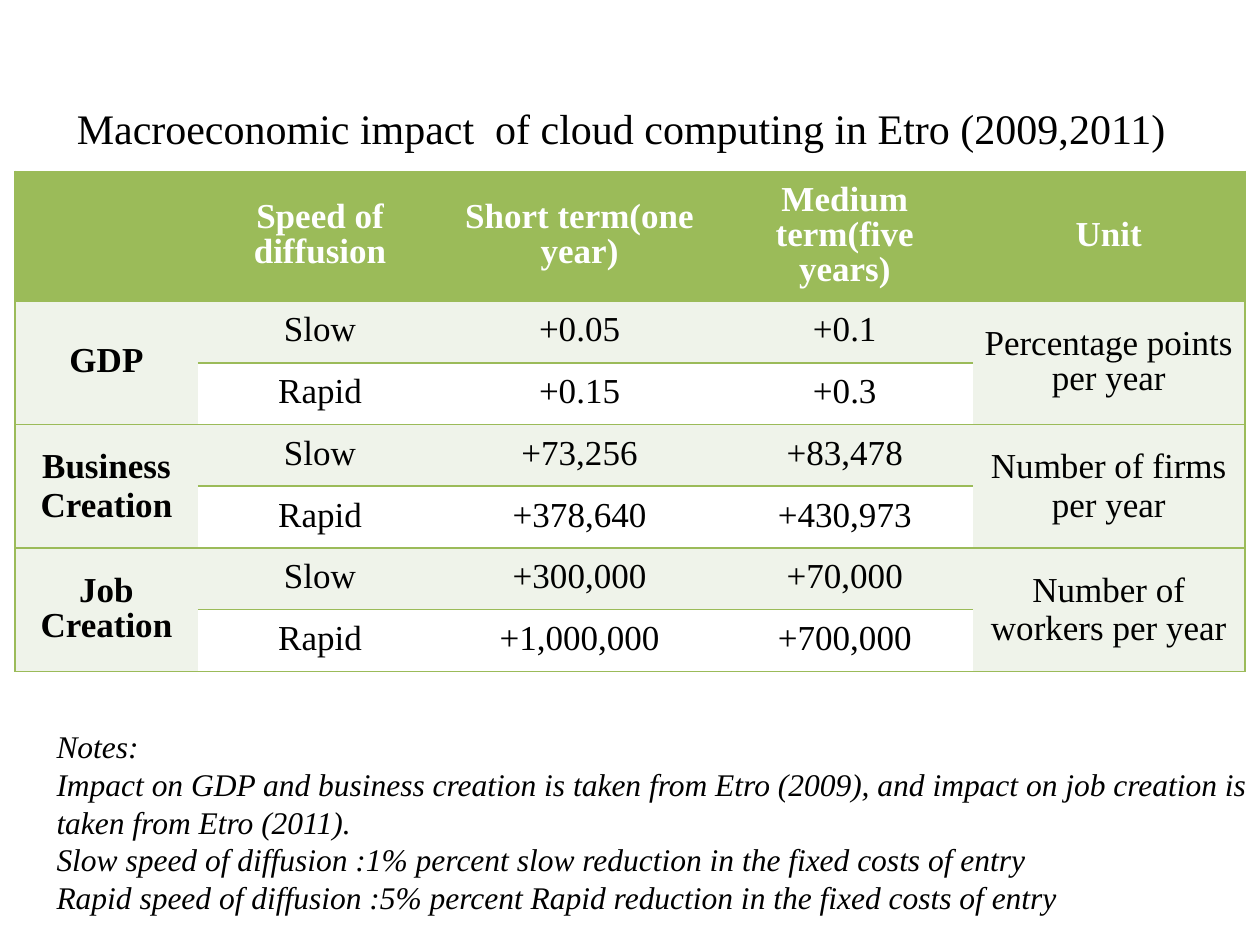
from lxml import etree
from pptx import Presentation
from pptx.dml.color import RGBColor
from pptx.enum.text import MSO_ANCHOR, MSO_AUTO_SIZE, PP_ALIGN
from pptx.oxml.ns import qn
from pptx.util import Inches, Pt

GREEN = RGBColor(0x9B, 0xBB, 0x59)
PALE = RGBColor(0xEF, 0xF3, 0xEA)
WHITE = RGBColor(0xFF, 0xFF, 0xFF)
BLACK = RGBColor(0, 0, 0)
CENTER, LEFT = PP_ALIGN.CENTER, PP_ALIGN.LEFT
TOP, MIDDLE = MSO_ANCHOR.TOP, MSO_ANCHOR.MIDDLE
NO_AUTOFIT = MSO_AUTO_SIZE.NONE
FONT = "Times New Roman"
NO_STYLE = "{2D5ABB26-0587-4C30-8999-92F81FD0307C}"

COL_WIDTHS = [1.45, 1.94, 2.18, 2.03, 2.16]
HEADER_HEIGHT, ROW_HEIGHT = 1.03, 0.49
LAST_COL = len(COL_WIDTHS) - 1
HEADERS = ["", "Speed of diffusion", "Short term(one year)",
           "Medium term(five years)", "Unit"]
# Measure, unit, then short and medium term values for each speed
MEASURES = [
    ("GDP", "Percentage points per year",
     [("Slow", "+0.05", "+0.1"), ("Rapid", "+0.15", "+0.3")]),
    ("Business\nCreation", "Number of firms per year",
     [("Slow", "+73,256", "+83,478"), ("Rapid", "+378,640", "+430,973")]),
    ("Job Creation", "Number of workers per year",
     [("Slow", "+300,000", "+70,000"), ("Rapid", "+1,000,000", "+700,000")]),
]
SINGLE_SPACED = {"Business\nCreation", "Number of firms per year",
                 "Number of workers per year"}
NOTES = [
    "Notes:",
    "Impact on GDP and business creation is taken from Etro (2009), and "
    "impact on job creation is taken from Etro (2011).",
    "Slow speed of diffusion :1% percent slow reduction in the fixed costs of entry",
    "Rapid speed of diffusion :5% percent Rapid reduction in the fixed costs of entry",
]


def write(tf, lines, size, color=BLACK, align=LEFT, spacing=None, **style):
    for i, line in enumerate(lines):
        p = tf.paragraphs[0] if i == 0 else tf.add_paragraph()
        p.alignment = align
        if spacing:
            p.line_spacing = spacing
        r = p.add_run()
        r.text = line
        r.font.color.rgb = color
        for name, value in {"name": FONT, "size": Pt(size), **style}.items():
            setattr(r.font, name, value)


def set_borders(cell, sides):
    """Draw green lines on the named sides (L, R, T, B); call before filling."""
    tcPr = cell._tc.get_or_add_tcPr()
    for side in "LRTB":
        if side in sides:
            ln = etree.SubElement(tcPr, qn(f"a:ln{side}"), w=str(Pt(1)))
            fill = etree.SubElement(ln, qn("a:solidFill"))
            etree.SubElement(fill, qn("a:srgbClr"), val=str(GREEN))


def format_cell(cell, col, text, fill, sides="TB", **style):
    edge = {0: "L", LAST_COL: "R"}.get(col, "")
    set_borders(cell, sides + edge)
    cell.fill.solid()
    cell.fill.fore_color.rgb = fill
    cell.vertical_anchor = MIDDLE
    cell.margin_left = cell.margin_right = Inches(0.07)
    cell.margin_top = cell.margin_bottom = 0
    if text:
        spacing = None if text in SINGLE_SPACED else Pt(20)
        write(cell.text_frame, text.split("\n"), 20, align=CENTER,
              spacing=spacing, **style)


def add_impact_table(s):
    n_rows = 1 + 2 * len(MEASURES)
    frame = s.shapes.add_table(
        n_rows, len(COL_WIDTHS), Inches(0.12), Inches(1.36),
        Inches(sum(COL_WIDTHS)), Inches(HEADER_HEIGHT + ROW_HEIGHT * (n_rows - 1)))
    table = frame.table
    table.first_row = table.horz_banding = False
    table._tbl.tblPr.find(qn("a:tableStyleId")).text = NO_STYLE
    for column, width in zip(table.columns, COL_WIDTHS):
        column.width = Inches(width)
    for i, row in enumerate(table.rows):
        row.height = Inches(ROW_HEIGHT if i else HEADER_HEIGHT)

    for col, text in enumerate(HEADERS):
        format_cell(table.cell(0, col), col, text, GREEN, color=WHITE, bold=True)
    for i, (measure, unit, speeds) in enumerate(MEASURES):
        top = 1 + 2 * i
        for col, text in ((0, measure), (LAST_COL, unit)):
            cell, lower = table.cell(top, col), table.cell(top + 1, col)
            cell.merge(lower)
            format_cell(cell, col, text, PALE, bold=col == 0)
            format_cell(lower, col, "", PALE, sides="B")
        for row, values in enumerate(speeds, top):
            fill = PALE if row == top else WHITE
            for col, text in enumerate(values, 1):
                format_cell(table.cell(row, col), col, text, fill)


def place_title(s):
    title = s.shapes.title
    title.left, title.top = Inches(0.51), Inches(0.76)
    title.width, title.height = Inches(9.02), Inches(0.5)
    tf = title.text_frame
    tf.auto_size = NO_AUTOFIT
    tf.vertical_anchor = TOP
    write(tf, ["Macroeconomic impact  of cloud computing in Etro (2009,2011)"], 24)


def add_notes_box(s):
    box = s.shapes.add_textbox(Inches(0.35), Inches(5.72), Inches(9.65), Inches(1.92))
    tf = box.text_frame
    tf.word_wrap = True
    write(tf, NOTES, 18, italic=True)


def main():
    prs = Presentation()
    prs.slide_width, prs.slide_height = Inches(10), Inches(7.5)
    s = prs.slides.add_slide(prs.slide_layouts[5])
    add_impact_table(s)
    place_title(s)
    add_notes_box(s)
    prs.save("out.pptx")


if __name__ == "__main__":
    main()
